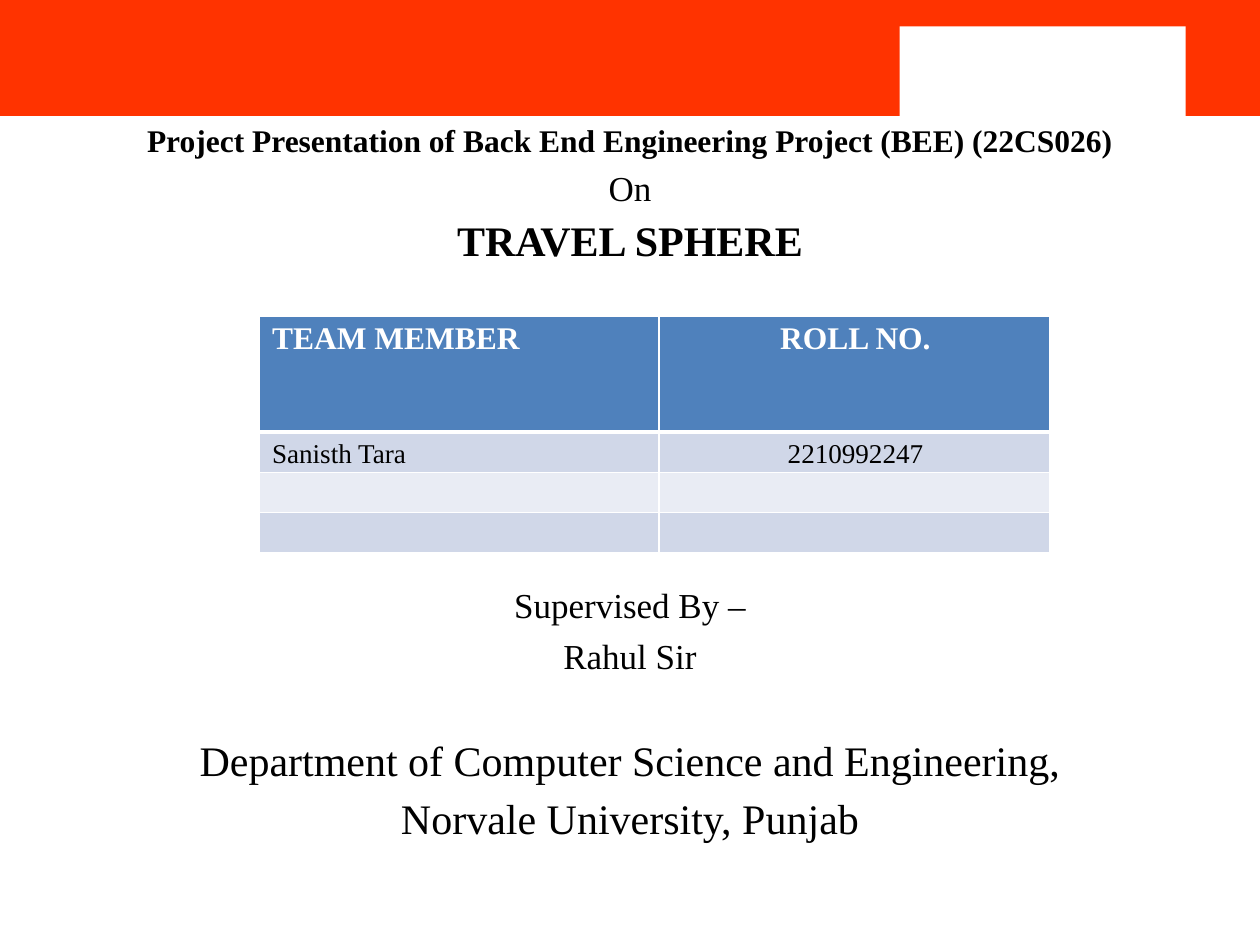
from lxml.etree import SubElement
from pptx import Presentation
from pptx.dml.color import RGBColor
from pptx.enum.shapes import MSO_SHAPE as Shape
from pptx.enum.text import MSO_ANCHOR as Anchor, MSO_AUTO_SIZE as Fit, PP_ALIGN as Align
from pptx.oxml.ns import qn
from pptx.util import Inches, Pt

FONT = "Times New Roman"
RED = RGBColor(0xFF, 0x33, 0x00)
WHITE = RGBColor(0xFF, 0xFF, 0xFF)
BLACK = RGBColor(0, 0, 0)
BLUE = RGBColor(0x4F, 0x81, 0xBC)
BANDS = RGBColor(0xD0, 0xD7, 0xE8), RGBColor(0xE9, 0xEC, 0xF4)

# left, top, width, height, fill
BLOCKS = [
    (0, 0, 10, 0.92, RED),
    (6.72, 0, 3.28, 0.92, RED),
    (7.14, 0.21, 2.27, 0.75, WHITE),
]
# runs, size, bold, space before, line spacing
TITLE = [
    (["Project Presentation ", "of Back ", "End Engineering Project (BEE) ", "(22CS026)"],
     18, True, 4.5, 1),
    (["On"], 20, False, 4.2, 1),
    (["TRAVEL SPHERE"], 24, True, 3.5, 1),
]
BODY = [
    (["Supervised ", "By –"], 20, False, 0.9, 1.16),
    (["Rahul ", "Sir"], 20, False, 0.9, 1.16),
    (["Department ", "of ", "Computer Science and Engineering,"], 24, False, 29, 1.15),
    (["Norvale University, Punjab"], 24, False, 0, 1.15),
]
TEAM = [
    ("TEAM MEMBER", "ROLL NO."),
    ("Sanisth Tara", "2210992247"),
    ("", ""),
    ("", ""),
]
COLS = [3.17, 3.1]
ROWS = [0.92, 0.32, 0.32, 0.32]


def add_run(para, text, size, bold, color):
    run = para.add_run()
    run.text = text
    font = run.font
    font.name, font.size, font.bold = FONT, Pt(size), bold
    font.color.rgb = color


def fill_text(holder, box, inset, lines):
    holder.left, holder.top, holder.width, holder.height = map(Inches, box)
    frame = holder.text_frame
    frame.word_wrap, frame.auto_size = True, Fit.NONE
    frame.vertical_anchor = Anchor.TOP
    frame.margin_left = frame.margin_right = frame.margin_bottom = 0
    frame.margin_top = Inches(inset)
    for i, (runs, size, bold, before, pitch) in enumerate(lines):
        para = frame.add_paragraph() if i else frame.paragraphs[0]
        para.alignment = Align.CENTER
        para.space_before, para.space_after = Pt(before), Pt(0)
        para.line_spacing = pitch
        for text in runs:
            add_run(para, text, size, bold, BLACK)


def add_edges(cell, top, bottom):
    """Draw white cell borders; call before the fill is set."""
    props = cell._tc.get_or_add_tcPr()
    for side, width in (("L", 1), ("R", 1), ("T", top), ("B", bottom)):
        line = SubElement(props, qn(f"a:ln{side}"), w=str(Pt(width)))
        solid = SubElement(line, qn("a:solidFill"))
        SubElement(solid, qn("a:srgbClr"), val=str(WHITE))


def add_team(slide):
    table = slide.shapes.add_table(
        len(TEAM), len(COLS), Inches(2.06), Inches(2.51),
        Inches(sum(COLS)), Inches(sum(ROWS))).table
    for col, width in zip(table.columns, COLS):
        col.width = Inches(width)
    for r, row in enumerate(TEAM):
        table.rows[r].height = Inches(ROWS[r])
        head = r == 0
        for c, text in enumerate(row):
            cell = table.cell(r, c)
            add_edges(cell, 3 if r == 1 else 1, 3 if head else 1)
            cell.fill.solid()
            cell.fill.fore_color.rgb = BLUE if head else BANDS[(r - 1) % 2]
            cell.margin_left = Inches(0.02 if c else 0.1)
            cell.margin_right = cell.margin_bottom = 0
            cell.margin_top = Inches(0.04 if head else 0.06 if text else 0)
            if text:
                para = cell.text_frame.paragraphs[0]
                para.alignment = Align.CENTER if c else Align.LEFT
                add_run(para, text, 18 if head else 15.5, head, WHITE if head else BLACK)


def main():
    deck = Presentation()
    deck.slide_width, deck.slide_height = Inches(10), Inches(7.5)
    slide = deck.slides.add_slide(deck.slide_layouts[0])
    for *box, color in BLOCKS:
        block = slide.shapes.add_shape(Shape.RECTANGLE, *map(Inches, box))
        block.shadow.inherit = False
        block.fill.solid()
        block.fill.fore_color.rgb = color
        block.line.fill.background()
    fill_text(slide.shapes.title, (1.15, 0.9, 7.7, 1.22), 0.06, TITLE)
    fill_text(slide.placeholders[1], (1.58, 4.57, 6.84, 2.14), 0.01, BODY)
    add_team(slide)
    deck.save("out.pptx")


if __name__ == "__main__":
    main()
